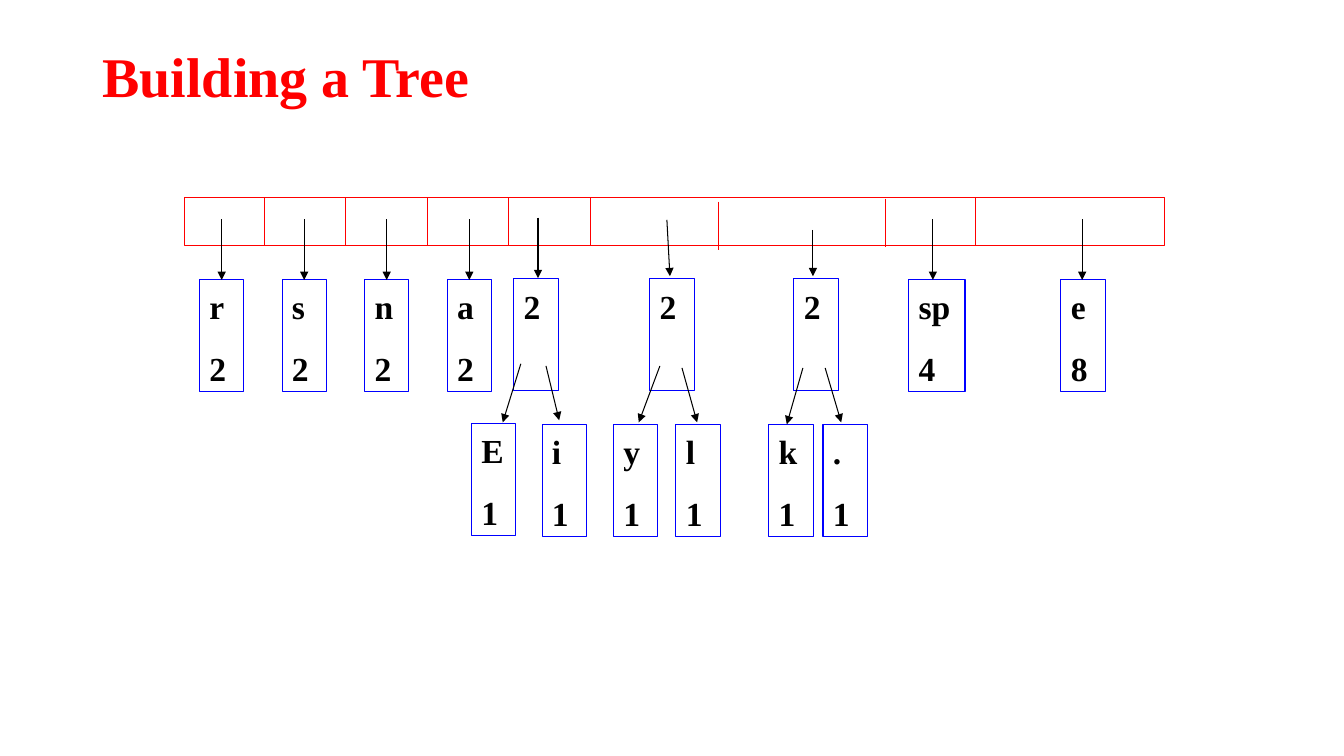
from collections import namedtuple

from pptx import Presentation
from pptx.dml.color import RGBColor
from pptx.enum.shapes import MSO_CONNECTOR as Connector, MSO_SHAPE as Shape
from pptx.enum.text import MSO_ANCHOR as Anchor, PP_ALIGN as Align
from pptx.oxml.ns import qn
from pptx.util import Pt
from lxml.etree import SubElement

FONT = "Times New Roman"
RED, BLUE, BLACK, WHITE = "FF0000", "0000FF", "000000", "FFFFFF"
NODE_WIDTH, NODE_HEIGHT = 31.7, 80

Box = namedtuple("Box", "left top width height")
# All points are offsets from the top left corner of the node or tree they belong to.
Child = namedtuple("Child", "letter corner tail head")
Tree = namedtuple("Tree", "left pointer children")

LEAVES = [  # letter, count, left, width, pointer offset
    *[(letter, "2", 142.6 + 59 * index, NODE_WIDTH, 15.8)
      for index, letter in enumerate("rsna")],
    ("sp", "4", 649.4, 40.3, 17.3),
    ("e", "8", 758.2, NODE_WIDTH, 15.2),
]
TREES = [
    Tree(367.2, ((17.3, -43.4), (17.3, -0.2)), [
        Child("E", (-30.2, 103.5), (5, 61), (-7.9, 102.8)),
        Child("i", (20.2, 104.2), (23, 62.5), (32.4, 101.3))]),
    Tree(464.4, ((12.2, -41.9), (14.4, -1.6)), [
        Child("y", (-25.9, 104.2), (7.2, 62.5), (-7.9, 102.8)),
        Child("l", (18.7, 104.2), (23, 63.9), (33.8, 102.8))]),
    Tree(567.4, ((13.6, -34.7), (13.6, -1.6)), [
        Child("k", (-18, 104.2), (6.4, 63.9), (-5.1, 104.2)),
        Child(".", (20.8, 104.2), (22.3, 63.9), (33.8, 102.8))]),
]


def color(hex_text):
    return RGBColor.from_string(hex_text)


def set_font(para, size, hex_text):
    font = para.font
    font.name, font.size, font.bold = FONT, Pt(size), True
    font.color.rgb = color(hex_text)


def add_title(page, box, text):
    frame = page.shapes.add_textbox(*map(Pt, box)).text_frame
    frame.word_wrap = True
    frame.vertical_anchor = Anchor.MIDDLE
    para = frame.paragraphs[0]
    para.text = text
    para.line_spacing = 0.9
    set_font(para, 40, RED)


def add_outline(page, box, line):
    shape = page.shapes.add_shape(Shape.RECTANGLE, *map(Pt, box))
    shape.shadow.inherit = False
    shape.fill.background()
    shape.line.color.rgb = color(line)
    shape.line.width = Pt(0.75)
    return shape


def add_line(page, start, end, line):
    connector = page.shapes.add_connector(
        Connector.STRAIGHT, *map(Pt, (*start, *end)))
    connector.line.color.rgb = color(line)
    connector.line.width = Pt(0.75)
    SubElement(connector._element.spPr, qn("a:effectLst"))
    return connector


def add_arrow(page, corner, tail, head):
    """Draw an arrow between two offsets from corner."""
    left, top = corner
    start, end = ((left + x, top + y) for x, y in (tail, head))
    arrow = add_line(page, start, end, BLACK)
    SubElement(arrow.line._get_or_add_ln(), qn("a:tailEnd"), type="triangle")


def add_node(page, box, *texts):
    frame = add_outline(page, box, BLUE).text_frame
    frame.word_wrap = True
    frame.vertical_anchor = Anchor.TOP
    frame.margin_left = frame.margin_right = Pt(7.2)
    frame.margin_top, frame.margin_bottom = Pt(5), Pt(3.6)
    for index, text in enumerate(texts):
        para = frame.add_paragraph() if index else frame.paragraphs[0]
        para.text = text
        para.alignment = Align.LEFT
        if index:
            para.space_before = Pt(15)
        set_font(para, 24, BLACK)


def add_queue(page, box):
    """Draw the strip and the dividers between its cells."""
    strip = add_outline(page, box, RED)
    strip.fill.solid()
    strip.fill.fore_color.rgb = color(WHITE)
    even = [(57 + 58.3 * index, 0) for index in range(5)]
    for x, drop in [*even, (381.6, 3), (501.1, 0.7), (565.2, 0)]:
        left, top = box.left + x, box.top + drop
        add_line(page, (left, top), (left, top + box.height), RED)


def add_leaf(page, box, letter, count, pointer):
    add_node(page, box, letter, count)
    add_arrow(page, (box.left, box.top), (pointer, -42.8), (pointer, 0.4))


def add_tree(page, box, tree):
    """Draw a root in the box, with its pointer, branches and children."""
    corner = box.left, box.top
    add_node(page, box, "2")
    add_arrow(page, corner, *tree.pointer)
    for child in tree.children:
        x, y = child.corner
        add_node(page, box._replace(left=box.left + x, top=box.top + y),
                 child.letter, "1")
        add_arrow(page, corner, child.tail, child.head)


def main():
    deck = Presentation()
    deck.slide_width, deck.slide_height = Pt(960.5), Pt(540)
    page = deck.slides.add_slide(deck.slide_layouts[6])
    add_title(page, Box(66.2, 28.8, 828, 55.4), "Building a Tree")
    add_queue(page, Box(131.8, 141.1, 700.6, 34.6))
    for letter, count, left, width, pointer in LEAVES:
        add_leaf(page, Box(left, 199.6, width, NODE_HEIGHT), letter, count, pointer)
    for tree in TREES:
        add_tree(page, Box(tree.left, 198.9, NODE_WIDTH, NODE_HEIGHT), tree)
    deck.save("out.pptx")


if __name__ == "__main__":
    main()
